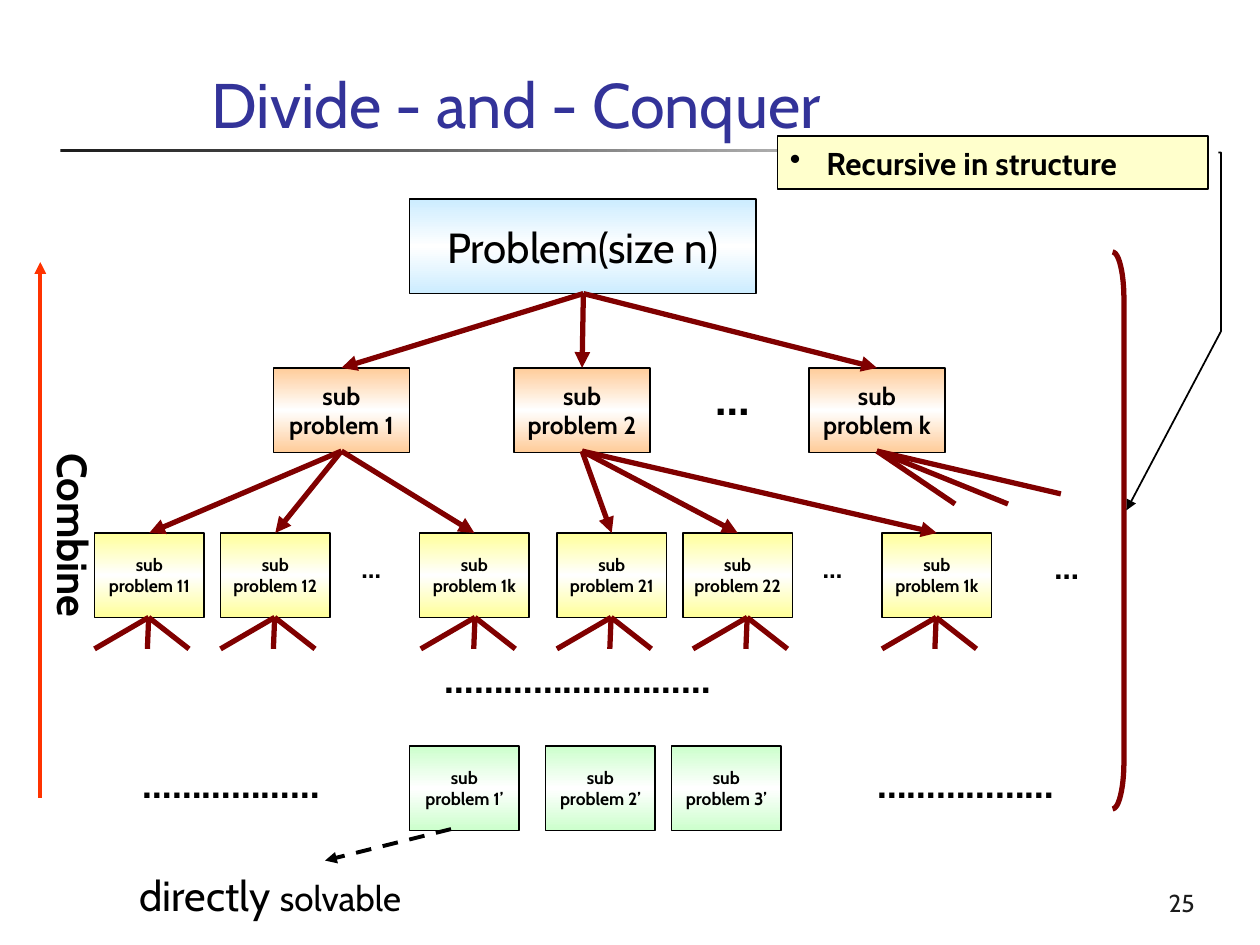
import copy
import math

import pptx
import pptx.dml.color
import pptx.enum.dml
import pptx.enum.shapes
import pptx.enum.text
import pptx.oxml.ns
import pptx.util
from lxml import etree

Inches = pptx.util.Inches
Pt = pptx.util.Pt
RGBColor = pptx.dml.color.RGBColor
Align = pptx.enum.text.PP_ALIGN
Anchor = pptx.enum.text.MSO_ANCHOR
qn = pptx.oxml.ns.qn

BLACK = RGBColor(0x00, 0x00, 0x00)
WHITE = RGBColor(0xFF, 0xFF, 0xFF)
CHARCOAL = RGBColor(0x1C, 0x1C, 0x1C)
INDIGO = RGBColor(0x33, 0x33, 0x99)
MAROON = RGBColor(0x80, 0x00, 0x00)
RED = RGBColor(0xFF, 0x33, 0x00)
SKY = RGBColor(0xCC, 0xEC, 0xFF)
PEACH = RGBColor(0xFF, 0xCC, 0x99)
YELLOW = RGBColor(0xFF, 0xFF, 0x99)
MINT = RGBColor(0xCC, 0xFF, 0xCC)
CREAM = RGBColor(0xFF, 0xFF, 0xCC)

SUB_SIZE = (1.08, 0.67)
LEAF_SIZE = (0.87, 0.67)


class Diagram:
    font = "Cabin"

    def __init__(self, slide):
        self.slide = slide

    def run(self, paragraph, words, size, bold=False, color=BLACK):
        run = paragraph.add_run()
        run.text = words
        for key, value in {"name": self.font, "size": Pt(size), "bold": bold}.items():
            setattr(run.font, key, value)
        run.font.color.rgb = color

    def add_lines(self, frame, lines, size, bold=False, color=BLACK, align=Align.LEFT):
        for index, words in enumerate(lines):
            paragraph = frame.add_paragraph() if index else frame.paragraphs[0]
            paragraph.alignment = align
            self.run(paragraph, words, size, bold, color)

    def text(self, place, words, size, bold=False, color=BLACK, align=Align.LEFT, **layout):
        label = self.slide.shapes.add_textbox(*map(Inches, place))
        for key, value in {"word_wrap": False, **layout}.items():
            setattr(label.text_frame, key, value)
        self.add_lines(label.text_frame, [words], size, bold, color, align)
        return label

    def dots(self, place, count):
        self.text(place, "…" * count, 24, True, align=Align.CENTER, word_wrap=True,
                  margin_top=0, margin_bottom=Inches(0.01))

    def rectangle(self, place):
        shape = self.slide.shapes.add_shape(
            pptx.enum.shapes.MSO_SHAPE.RECTANGLE, *map(Inches, place))
        shape.shadow.inherit = False
        return shape

    def outline(self, shape, color, width):
        shape.line.color.rgb = color
        shape.line.width = Pt(width)

    def gradient(self, shape, angle, colors):
        """Spread two or more colours evenly along the fill."""
        shape.fill.gradient()
        shape.fill.gradient_angle = angle
        stop_list = shape.element.spPr.find(".//" + qn("a:gsLst"))
        for _ in colors[2:]:
            stop_list.append(copy.deepcopy(stop_list[-1]))
        for index, (stop, color) in enumerate(zip(shape.fill.gradient_stops, colors)):
            stop.position = index / (len(colors) - 1)
            stop.color.rgb = color

    def box(self, place, lines, size, tint, bold=True):
        shape = self.rectangle(place)
        self.gradient(shape, 90, [tint, WHITE, tint])
        self.outline(shape, BLACK, 0.75)
        frame = shape.text_frame
        frame.word_wrap = False
        frame.vertical_anchor = Anchor.MIDDLE
        self.add_lines(frame, lines, size, bold, align=Align.CENTER)

    def arrowhead(self, shape):
        etree.SubElement(shape.element.spPr.find(qn("a:ln")), qn("a:tailEnd"), type="triangle")

    def line(self, start, end, color=MAROON, width=3, arrow=True, dash=None):
        connector = self.slide.shapes.add_connector(
            pptx.enum.shapes.MSO_CONNECTOR.STRAIGHT, *map(Inches, (*start, *end)))
        self.outline(connector, color, width)
        if dash:
            connector.line.dash_style = dash
        if arrow:
            self.arrowhead(connector)
        etree.SubElement(connector.element.spPr, qn("a:effectLst"))

    def polyline(self, points, color, width):
        (left, top), *rest = [(Inches(x), Inches(y)) for x, y in points]
        builder = self.slide.shapes.build_freeform(left, top)
        builder.add_line_segments(rest, close=False)
        shape = builder.convert_to_shape()
        shape.shadow.inherit = False
        shape.fill.background()
        self.outline(shape, color, width)
        return shape

    def bracket(self, left, top, width, height, bend):
        """Draw a right bracket with quarter-ellipse ends of height bend."""
        angles = [math.pi / 2 * step / 12 for step in range(13)]
        upper = [(left + width * math.sin(a), top + bend * (1 - math.cos(a))) for a in angles]
        lower = [(x, 2 * top + height - y) for x, y in reversed(upper)]
        self.polyline(upper + lower, MAROON, 3)

    def bulleted(self, place, words):
        note = self.rectangle(place)
        note.fill.solid()
        note.fill.fore_color.rgb = CREAM
        self.outline(note, BLACK, 1)
        note.text_frame.vertical_anchor = Anchor.MIDDLE
        properties = note.element.find(".//" + qn("a:p")).get_or_add_pPr()
        for key, value in {"marL": Inches(0.29), "indent": -Inches(0.29)}.items():
            properties.set(key, str(value))
        bullet_color = etree.SubElement(properties, qn("a:buClr"))
        etree.SubElement(bullet_color, qn("a:srgbClr"), val=str(BLACK))
        etree.SubElement(properties, qn("a:buChar"), char="•")
        self.add_lines(note.text_frame, [words], 18, True)


def draw_tree(diagram):
    root = (4.63, 2.33)
    diagram.box((3.25, 1.58, 2.75, 0.75), ["Problem(size n)"], 24, SKY, bold=False)
    branches = [
        (2.17, "1", [(0.75, "11"), (1.75, "12"), (3.33, "1k")]),
        (4.08, "2", [(4.42, "21"), (5.42, "22"), (7, "1k")]),
        (6.42, "k", []),
    ]
    for left, label, leaves in branches:
        center = left + SUB_SIZE[0] / 2
        diagram.box((left, 2.92, *SUB_SIZE), ["sub", f"problem {label}"], 14, PEACH)
        diagram.line(root, (center, 2.92))
        for leaf_left, leaf_label in leaves:
            diagram.box((leaf_left, 4.23, *LEAF_SIZE), ["sub", f"problem {leaf_label}"], 10, YELLOW)
            diagram.line((center, 3.58), (leaf_left + LEAF_SIZE[0] / 2, 4.23))
    for end in [(7.58, 4), (8, 4), (8.42, 3.92)]:
        diagram.line((6.96, 3.58), end, arrow=False)
    for center in (1.18, 2.18, 3.77, 4.85, 5.93, 7.43):
        for offset in (-0.43, -0.01, 0.32):
            diagram.line((center, 4.9), (center + offset, 5.15), arrow=False)
    for left, label in [(3.25, "1’"), (4.33, "2’"), (5.33, "3’")]:
        diagram.box((left, 5.92, *LEAF_SIZE), ["sub", f"problem {label}"], 10, MINT)
    for place, size in [((5.58, 2.86, 0.53, 0.57), 28), ((2.77, 4.32, 0.39, 0.37), 16),
                        ((6.43, 4.32, 0.39, 0.37), 16), ((8.27, 4.27, 0.44, 0.44), 20)]:
        diagram.text(place, "…", size, True)
    for place, count in [((2.42, 5.17, 4.33, 0.41), 9), ((0.75, 6, 2.17, 0.41), 6),
                         ((6.58, 6, 2.17, 0.41), 6)]:
        diagram.dots(place, count)


def main():
    deck = pptx.Presentation()
    deck.slide_width, deck.slide_height = Inches(10), Inches(7.5)
    diagram = Diagram(deck.slides.add_slide(deck.slide_layouts[6]))

    rule = diagram.rectangle((0.48, 1.18, 9, 0.03))
    diagram.gradient(rule, 0, [CHARCOAL, WHITE])
    rule.line.fill.background()

    diagram.line((0.32, 6.33), (0.32, 2.08), RED, 2.25)
    combine = diagram.text((0.24, 3.5, 0.6, 1.58), "Combine", 24, True,
                           margin_left=Inches(0.05), margin_right=Inches(0.05),
                           margin_top=Inches(0.1), margin_bottom=Inches(0.1))
    combine.element.find(".//" + qn("a:bodyPr")).set("vert", "eaVert")

    diagram.bracket(8.83, 2, 0.09, 4.42, 0.37)
    draw_tree(diagram)

    solvable = diagram.text((1.01, 6.85, 2.51, 0.5), "directly ", 24)
    diagram.run(solvable.text_frame.paragraphs[0], "solvable", 20)
    diagram.line((3.58, 6.58), (2.58, 6.83), BLACK, 2.25,
                 dash=pptx.enum.dml.MSO_LINE.DASH)

    diagram.text((1.58, 0.47, 7.83, 0.7), "Divide - and - Conquer", 36, color=INDIGO,
                 word_wrap=True)
    diagram.bulleted((6.17, 1.08, 3.42, 0.42), "Recursive in structure")
    leader = diagram.polyline([(9.67, 1.21), (9.69, 1.21), (9.69, 2.63), (8.94, 4.05)], BLACK, 1)
    diagram.arrowhead(leader)
    diagram.text((7.5, 6.83, 2.08, 0.5), "25", 14, color=CHARCOAL, align=Align.RIGHT,
                 word_wrap=True, vertical_anchor=Anchor.BOTTOM)
    deck.save("out.pptx")


if __name__ == "__main__":
    main()
